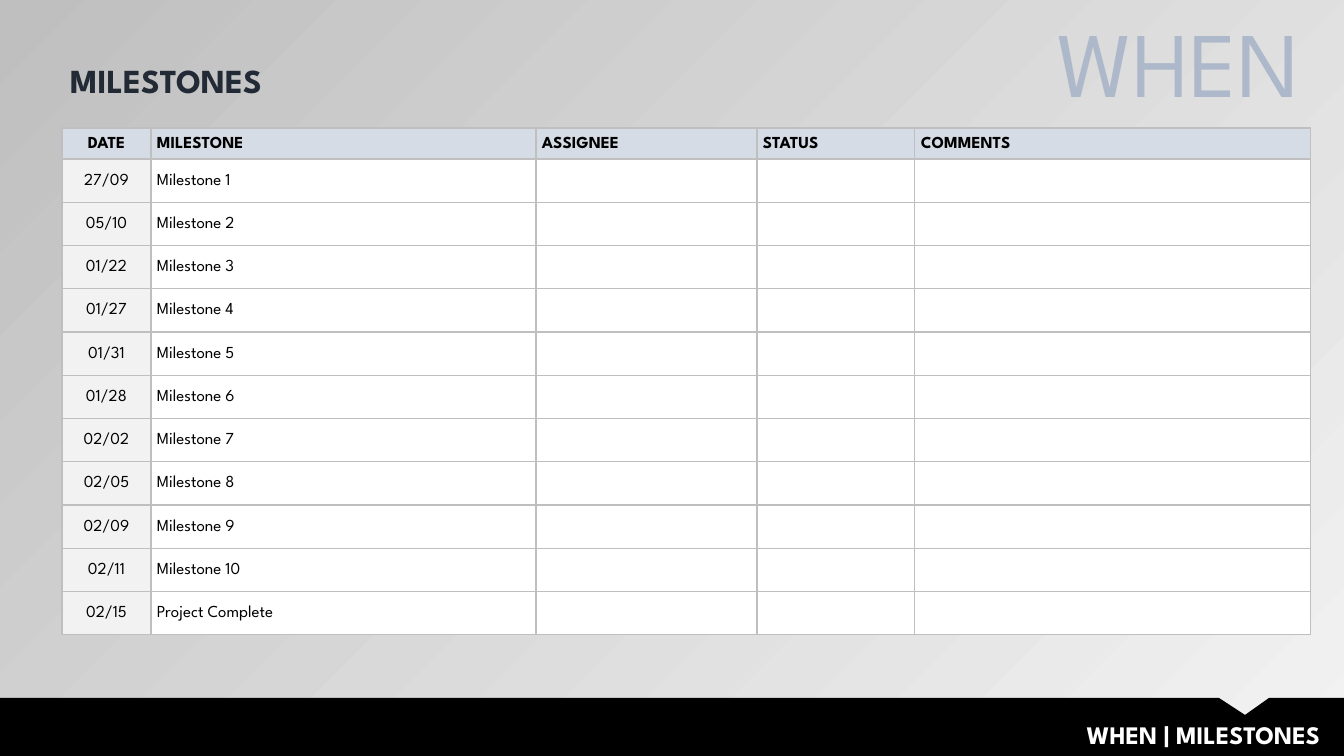
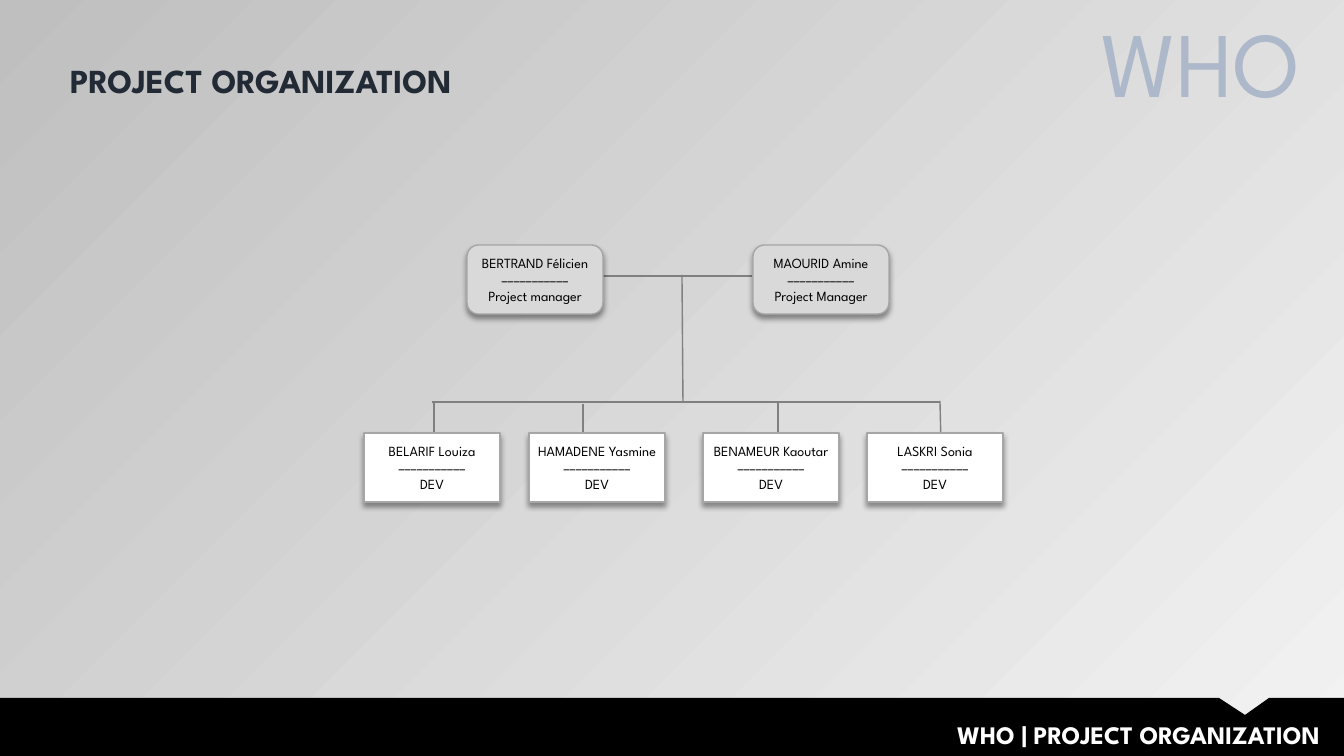
from pptx import Presentation
from pptx.dml.color import RGBColor as RGB
from pptx.enum.shapes import MSO_CONNECTOR as LINK, MSO_SHAPE as SHAPE
from pptx.enum.text import MSO_ANCHOR as ANCHOR, MSO_AUTO_SIZE as AUTO, PP_ALIGN as ALIGN
from pptx.oxml import parse_xml
from pptx.oxml.ns import nsdecls
from pptx.util import Pt
from lxml.etree import SubElement

PX = 914400 / 100.8
INK = {
    "black": "000000", "white": "FFFFFF", "title": "222A35", "word": "ADB9CA",
    "head": "D6DCE5", "date": "F2F2F2", "grid": "BFBFBF", "link": "808080",
    "edge": "A6A6A6", "chief": "D9D9D9", "light": "F2F2F2", "dark": "BFBFBF",
}


def px(*nums):
    return [round(n * PX) for n in nums]


def write(frame, lines, size, ink, bold=False, align=ALIGN.LEFT, space=None, **form):
    form = {"word_wrap": True, "auto_size": AUTO.NONE, "vertical_anchor": ANCHOR.TOP} | form
    for key, val in form.items():
        setattr(frame, key, val)
    frame.text = "\n".join(lines)
    for para in frame.paragraphs:
        para.alignment = align
        if space:
            para.line_spacing = space
        for run in para.runs:
            for key, val in {"name": "League Spartan", "size": Pt(size), "bold": bold}.items():
                setattr(run.font, key, val)
            run.font.color.rgb = RGB.from_string(INK[ink])


deck = Presentation()
deck.slide_width, deck.slide_height = px(1344, 756)

# Shared background and title place
base = deck.slide_layouts[5]
back = base.background.fill
back.gradient()
back.gradient_angle = 135
for stop, ink in zip(back.gradient_stops, ("light", "dark")):
    stop.color.rgb = RGB.from_string(INK[ink])
spot = base.placeholders[0]
spot.left, spot.top, spot.width, spot.height = px(60, 55, 898, 50)

# Title, large word and footer band of each slide
slides = []
for word, title, left in (("WHEN", "MILESTONES", 916), ("WHO", "PROJECT ORGANIZATION", 745)):
    slide = deck.slides.add_slide(base)
    slides.append(slide)
    write(slide.shapes.title.text_frame, [title], 24, "title", True)

    pen = slide.shapes.build_freeform(0, 698, scale=PX)
    pen.add_line_segments([(1219, 698), (1245, 715), (1269, 698),
                           (1344, 698), (1344, 756), (0, 756)])
    band = pen.convert_to_shape()
    band.shadow.inherit = False
    band.fill.solid()
    band.fill.fore_color.rgb = RGB.from_string(INK["black"])
    band.line.fill.background()

    foot = slide.shapes.add_textbox(*px(417, 714, 913, 40))
    write(foot.text_frame, [f"{word} | {title}"], 18, "white", True, ALIGN.RIGHT)
    large = slide.shapes.add_textbox(*px(left, 0, 1310 - left, 122))
    write(large.text_frame, [word], 66, "word", align=ALIGN.RIGHT)

plan, team = slides

# Milestone table
dates = ["27/09", "05/10", "01/22", "01/27", "01/31", "01/28",
         "02/02", "02/05", "02/09", "02/11", "02/15"]
names = [f"Milestone {n}" for n in range(1, 11)] + ["Project Complete"]
rows = [["DATE", "MILESTONE", "ASSIGNEE", "STATUS", "COMMENTS"]]
rows += [[date, name, "", "", ""] for date, name in zip(dates, names)]
wide = [89, 385, 221, 158, 396]
grid = plan.shapes.add_table(len(rows), len(wide), *px(62, 128, sum(wide), 507)).table
for col, size in zip(grid.columns, px(*wide)):
    col.width = size
for r, texts in enumerate(rows):
    grid.rows[r].height = px(476 / 11 if r else 31)[0]
    for c, text in enumerate(texts):
        cell = grid.cell(r, c)
        inset = px(6, 6, 0, 0)
        for side, size in zip(("left", "right", "top", "bottom"), inset):
            setattr(cell, f"margin_{side}", size)
        cell.vertical_anchor = ANCHOR.MIDDLE
        cell.fill.solid()
        tint = "head" if r == 0 else "white" if c else "date"
        cell.fill.fore_color.rgb = RGB.from_string(INK[tint])
        para = cell.text_frame.paragraphs[0]
        para.alignment = ALIGN.LEFT if c else ALIGN.CENTER
        para.line_spacing = 1.07
        if text:
            run = para.add_run()
            run.text = text
            for key, val in {"name": "League Spartan", "size": Pt(12), "bold": r == 0}.items():
                setattr(run.font, key, val)
            run.font.color.rgb = RGB.from_string(INK["black"])
        for n, side in enumerate("LRTB"):
            cell._tc.get_or_add_tcPr().insert(n, parse_xml(
                f'<a:ln{side} {nsdecls("a")} w="12700"><a:solidFill>'
                f'<a:srgbClr val="{INK["grid"]}"/></a:solidFill></a:ln{side}>'))

# Lines of the team chart
for ends in ((432, 402, 940, 402), (434, 402, 434, 444), (583, 404, 583, 436),
             (778, 403, 778, 434), (940, 401, 941, 443), (601, 276, 752, 276),
             (682, 275, 683, 401)):
    link = team.shapes.add_connector(LINK.STRAIGHT, *px(*ends))
    link.line.width = Pt(1)
    link.line.color.rgb = RGB.from_string(INK["link"])
    SubElement(link._element.spPr, "{http://schemas.openxmlformats.org/drawingml/2006/main}effectLst")

# People of the team chart
chief = (SHAPE.FLOWCHART_ALTERNATE_PROCESS, "chief", 245)
maker = (SHAPE.RECTANGLE, "white", 433)
edge = px(2)[0]
for (kind, tint, top), left, name, role in (
        (chief, 467, "BERTRAND Félicien", "Project manager"),
        (chief, 753, "MAOURID Amine", "Project Manager"),
        (maker, 364, "BELARIF Louiza", "DEV"),
        (maker, 529, "HAMADENE Yasmine", "DEV"),
        (maker, 703, "BENAMEUR Kaoutar", "DEV"),
        (maker, 867, "LASKRI Sonia", "DEV")):
    box = team.shapes.add_shape(kind, *px(left, top, 136, 69))
    box.fill.solid()
    box.fill.fore_color.rgb = RGB.from_string(INK[tint])
    box.line.width = Pt(1)
    box.line.color.rgb = RGB.from_string(INK["edge"])
    box.shadow.inherit = False
    box._element.spPr.find("{*}effectLst").append(parse_xml(
        f'<a:outerShdw {nsdecls("a")} blurRad="50800" dist="38100" dir="5400000" rotWithShape="0">'
        f'<a:srgbClr val="{INK["black"]}"><a:alpha val="40000"/></a:srgbClr></a:outerShdw>'))
    write(box.text_frame, [name, "–" * 11, role], 10, "black", align=ALIGN.CENTER,
          vertical_anchor=ANCHOR.MIDDLE, margin_left=edge, margin_right=edge,
          margin_top=edge, margin_bottom=edge)

deck.save("out.pptx")
